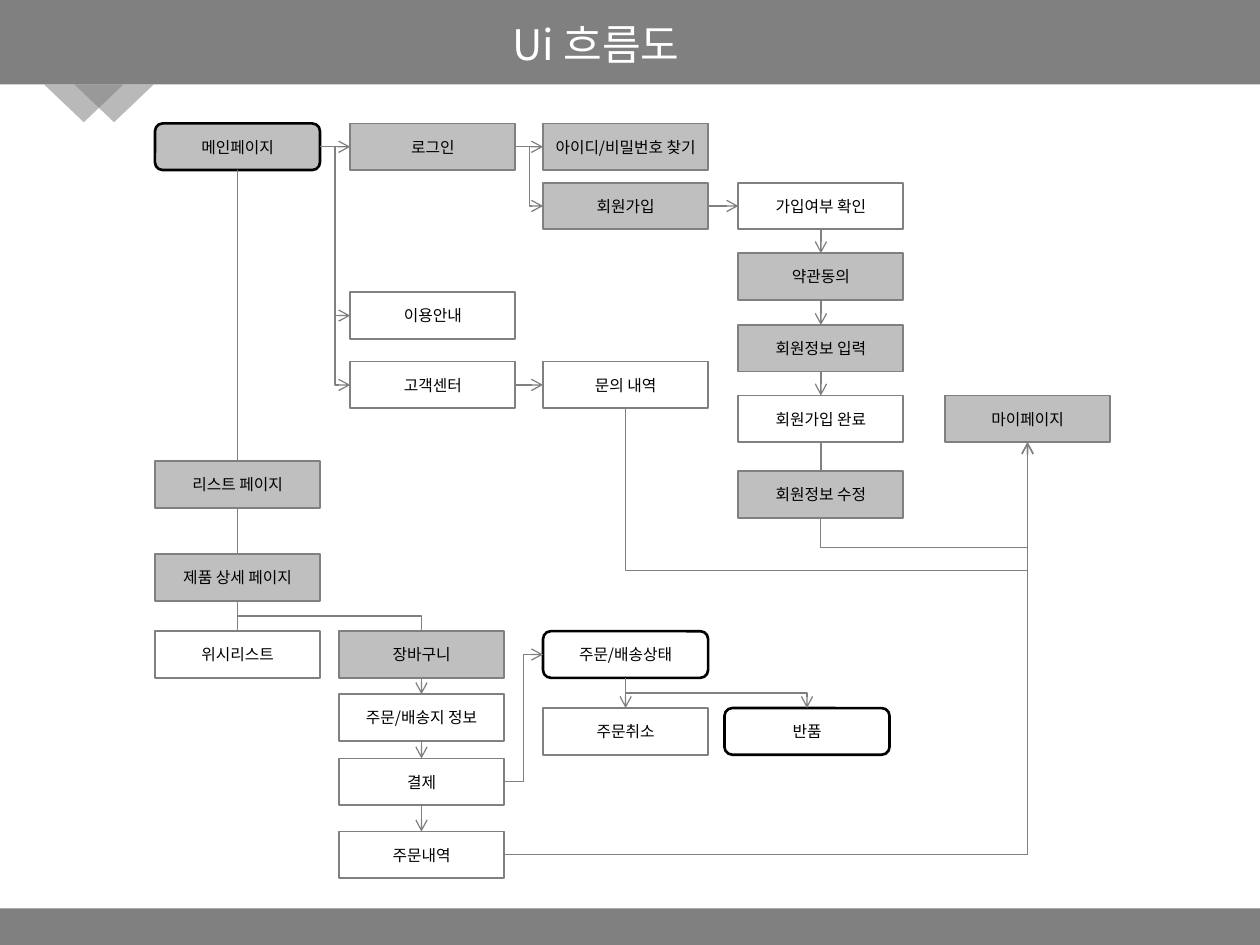
from dataclasses import dataclass

import lxml.etree
import pptx
import pptx.dml.color
import pptx.enum.shapes
import pptx.enum.text
import pptx.oxml.ns
import pptx.util

RGBColor = pptx.dml.color.RGBColor
Inches = pptx.util.Inches
MSO_SHAPE = pptx.enum.shapes.MSO_SHAPE
MSO_CONNECTOR = pptx.enum.shapes.MSO_CONNECTOR
qn = pptx.oxml.ns.qn

GREY = RGBColor(0x80, 0x80, 0x80)
LIGHT = RGBColor(0xBF, 0xBF, 0xBF)
WHITE = RGBColor(0xFF, 0xFF, 0xFF)
BLACK = RGBColor(0, 0, 0)
FONT = "Noto Sans CJK KR"

# Grid: left edges of the columns, top edges of the rows, size of a box
COLS = dict(a=1.23, b=2.69, c=2.78, d=4.31, e=5.75, f=5.86, g=7.5)
ROWS = [0.98, 1.45, 2.01, 2.32, 2.58, 2.87, 3.14, 3.66, 3.74, 4.4,
        5.01, 5.51, 5.62, 6.02, 6.6]
BOX_W, BOX_H = 1.31, 0.37


@dataclass
class Node:
    text: str
    col: str
    row: int
    fill: RGBColor = WHITE
    key: bool = False

    def side(self, name: str) -> tuple[float, float]:
        """Middle of the left, right, top or bottom side."""
        fx, fy = dict(l=(0, .5), r=(1, .5), t=(.5, 0), b=(.5, 1))[name]
        return COLS[self.col] + fx * BOX_W, ROWS[self.row] + fy * BOX_H


@dataclass
class Link:
    start: str
    end: str
    sides: str  # side left, side reached
    arrow: bool = True
    bend: float = 0.5  # place of the middle segment, as a share of the way


NODES = [
    Node("메인페이지", "a", 0, LIGHT, True),
    Node("리스트 페이지", "a", 7, LIGHT),
    Node("제품 상세 페이지", "a", 9, LIGHT),
    Node("위시리스트", "a", 10),
    Node("장바구니", "b", 10, LIGHT),
    Node("주문/배송지 정보", "b", 11),
    Node("결제", "b", 13),
    Node("주문내역", "b", 14),
    Node("주문/배송상태", "d", 10, key=True),
    Node("주문취소", "d", 12),
    Node("반품", "e", 12, key=True),
    Node("로그인", "c", 0, LIGHT),
    Node("이용안내", "c", 3),
    Node("고객센터", "c", 5),
    Node("아이디/비밀번호 찾기", "d", 0, LIGHT),
    Node("회원가입", "d", 1, LIGHT),
    Node("문의 내역", "d", 5),
    Node("가입여부 확인", "f", 1),
    Node("약관동의", "f", 2, LIGHT),
    Node("회원정보 입력", "f", 4, LIGHT),
    Node("회원가입 완료", "f", 6),
    Node("회원정보 수정", "f", 8, LIGHT),
    Node("마이페이지", "g", 6, LIGHT),
]

LINKS = [
    Link("메인페이지", "리스트 페이지", "bt", False),
    Link("리스트 페이지", "제품 상세 페이지", "bt", False),
    Link("제품 상세 페이지", "위시리스트", "bt", False),
    Link("제품 상세 페이지", "장바구니", "bt", False),
    Link("장바구니", "주문/배송지 정보", "bt"),
    Link("주문/배송지 정보", "결제", "bt"),
    Link("결제", "주문내역", "bt"),
    Link("결제", "주문/배송상태", "rl"),
    Link("주문/배송상태", "주문취소", "bt"),
    Link("주문/배송상태", "반품", "bt"),
    Link("메인페이지", "로그인", "rl"),
    Link("메인페이지", "이용안내", "rl"),
    Link("메인페이지", "고객센터", "rl"),
    Link("로그인", "아이디/비밀번호 찾기", "rl"),
    Link("로그인", "회원가입", "rl"),
    Link("고객센터", "문의 내역", "rl"),
    Link("회원가입", "가입여부 확인", "rl"),
    Link("가입여부 확인", "약관동의", "bt"),
    Link("약관동의", "회원정보 입력", "bt"),
    Link("회원정보 입력", "회원가입 완료", "bt"),
    Link("회원가입 완료", "회원정보 수정", "bt", False),
    Link("주문내역", "마이페이지", "rb"),
    Link("회원정보 수정", "마이페이지", "bb", bend=-0.39),
    Link("문의 내역", "마이페이지", "bb", bend=4.77),
]


def add_xml(parent, tag: str, **attributes: str) -> None:
    lxml.etree.SubElement(parent, qn(tag), attributes)


def set_text(tf, text: str, size: float, color: RGBColor) -> None:
    tf.text = text
    p = tf.paragraphs[0]
    p.alignment = pptx.enum.text.PP_ALIGN.CENTER
    p.font.size = pptx.util.Pt(size)
    p.font.color.rgb = color
    p.font.name = FONT
    add_xml(p.font._rPr, "a:ea", typeface=FONT)


def add_shape(s, kind, x: float, y: float, w: float, h: float, fill: RGBColor):
    sp = s.shapes.add_shape(kind, *map(Inches, (x, y, w, h)))
    sp.shadow.inherit = False
    sp.fill.solid()
    sp.fill.fore_color.rgb = fill
    sp.line.fill.background()
    return sp


def add_node(s, node: Node) -> None:
    kind = MSO_SHAPE.ROUNDED_RECTANGLE if node.key else MSO_SHAPE.RECTANGLE
    sp = add_shape(s, kind, COLS[node.col], ROWS[node.row], BOX_W, BOX_H, node.fill)
    sp.line.color.rgb = BLACK if node.key else GREY
    sp.line.width = pptx.util.Pt(1.5 if node.key else 1)
    tf = sp.text_frame
    tf.word_wrap = True
    tf.vertical_anchor = pptx.enum.text.MSO_ANCHOR.MIDDLE
    set_text(tf, node.text, 9, BLACK)


def add_link(s, link: Link, nodes: dict[str, Node]) -> None:
    x1, y1 = nodes[link.start].side(link.sides[0])
    x2, y2 = nodes[link.end].side(link.sides[1])
    straight = abs(x1 - x2) < 0.01 or abs(y1 - y2) < 0.01
    turned = not straight and link.sides[0] == "b"
    if turned:
        # An elbow that leaves downwards lies on its side, turned by 270 degrees
        cx, cy, dx, dy = (x1 + x2) / 2, (y1 + y2) / 2, x2 - x1, y2 - y1
        x1, x2 = cx + dy / 2, cx - dy / 2
        y1, y2 = cy - dx / 2, cy + dx / 2
    kind = MSO_CONNECTOR.STRAIGHT if straight else MSO_CONNECTOR.ELBOW
    c = s.shapes.add_connector(kind, *map(Inches, (x1, y1, x2, y2)))
    c.line.color.rgb = GREY
    c.line.width = pptx.util.Pt(0.75)
    spPr = c._element.spPr
    geom = spPr.find(qn("a:prstGeom"))
    if turned:
        spPr.find(qn("a:xfrm")).set("rot", str(270 * 60000))
    if link.sides == "rb":
        geom.set("prst", "bentConnector2")
    elif not straight:
        add_xml(geom.find(qn("a:avLst")), "a:gd", name="adj1",
                fmla=f"val {round(link.bend * 100000)}")
    if link.arrow:
        add_xml(spPr.find(qn("a:ln")), "a:tailEnd", type="arrow")
    add_xml(spPr, "a:effectLst")


def main() -> None:
    prs = pptx.Presentation()
    prs.slide_width, prs.slide_height = Inches(10), Inches(7.5)
    s = prs.slides.add_slide(prs.slide_layouts[5])

    # Grey bands above and below a white page
    s.background.fill.solid()
    s.background.fill.fore_color.rgb = GREY
    add_shape(s, MSO_SHAPE.RECTANGLE, 0, 0.67, 10, 6.54, WHITE)

    # Title
    title = s.shapes.title
    title.left, title.top, title.width, title.height = map(
        Inches, (3.45, 0.1, 2.56, 0.5))
    title.text_frame.auto_size = pptx.enum.text.MSO_AUTO_SIZE.NONE
    set_text(title.text_frame, "Ui 흐름도", 24, WHITE)

    # Overlapping translucent triangles
    for x in (0.35, 0.59):
        sp = add_shape(s, MSO_SHAPE.ISOSCELES_TRIANGLE, x, 0.67, 0.63, 0.3, GREY)
        sp.rotation = 180
        add_xml(sp._element.spPr.find(qn("a:solidFill"))[0], "a:alpha", val="55000")

    # Flow chart
    for node in NODES:
        add_node(s, node)
    nodes = {node.text: node for node in NODES}
    for link in LINKS:
        add_link(s, link, nodes)

    prs.save("out.pptx")


if __name__ == "__main__":
    main()
